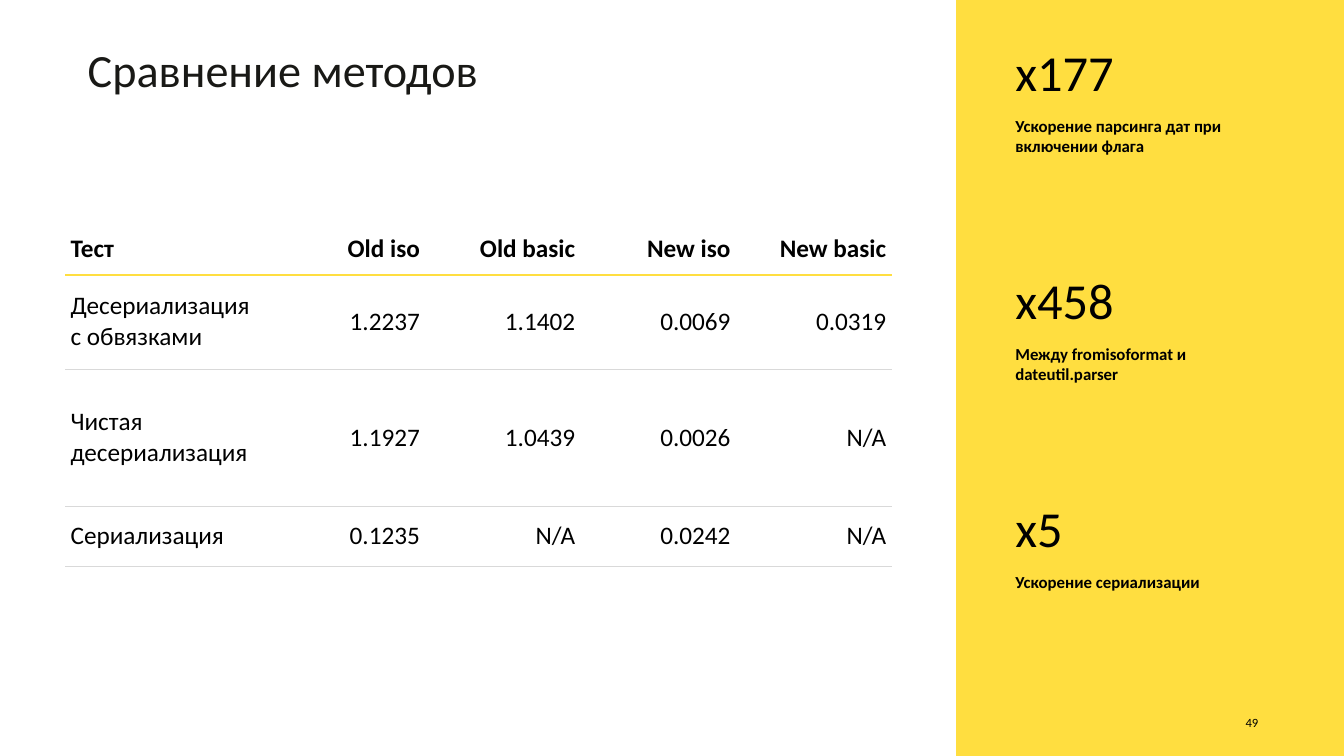
"""Builds the slide that compares serialization methods."""
from lxml import etree
from pptx import Presentation
from pptx.dml.color import RGBColor
from pptx.enum.shapes import MSO_SHAPE
from pptx.enum.text import MSO_ANCHOR, PP_ALIGN
from pptx.oxml.ns import qn
from pptx.util import Inches, Pt

LEFT, RIGHT = PP_ALIGN.LEFT, PP_ALIGN.RIGHT
TOP, MIDDLE, BOTTOM = MSO_ANCHOR.TOP, MSO_ANCHOR.MIDDLE, MSO_ANCHOR.BOTTOM
RECTANGLE = MSO_SHAPE.RECTANGLE

FONT = "Calibri"
COLORS = {"accent": "FFDE40", "panel": "FFFFFF", "title": "191916",
          "text": "000000", "rule": "D9D9D9"}

TITLE = "Сравнение методов"
PAGE_NUMBER = "49"
RESULTS = [
    ["Тест", "Old iso", "Old basic", "New iso", "New basic"],
    ["Десериализация\nс обвязками", "1.2237", "1.1402", "0.0069", "0.0319"],
    ["Чистая десериализация", "1.1927", "1.0439", "0.0026", "N/A"],
    ["Сериализация", "0.1235", "N/A", "0.0242", "N/A"],
]
COLUMN_WIDTHS = [4.93, 2.2, 3.08, 3.08, 3.09]
ROW_HEIGHTS = [1.64, 1.87, 2.73, 1.18]
SPEEDUPS = [
    ("x177", "Ускорение парсинга дат при включении флага", 2.12),
    ("x458", "Между fromisoformat и dateutil.parser", 0.81),
    ("x5", "Ускорение сериализации", 1.55),
]
SPEEDUP_LEFT, SPEEDUP_TOP, SPEEDUP_STEP, CAPTION_OFFSET = 20.14, 0.81, 4.525, 1.48


def rgb(name):
    return RGBColor.from_string(COLORS[name])


def write(frame, text, size=36, color="text", bold=False, align=LEFT, after=0):
    frame.word_wrap = True
    frame.text = text
    for paragraph in frame.paragraphs:
        paragraph.alignment = align
        paragraph.space_after = Pt(after)
        font = paragraph.font
        font.name, font.size, font.bold = FONT, Pt(size), bold
        font.color.rgb = rgb(color)


def add_text(slide, box, text, anchor=TOP, **style):
    frame = slide.shapes.add_textbox(*map(Inches, box)).text_frame
    frame.margin_left = frame.margin_right = frame.margin_top = frame.margin_bottom = 0
    frame.vertical_anchor = anchor
    write(frame, text, **style)


def add_border(cell, side, color, width):
    line = etree.SubElement(cell._tc.get_or_add_tcPr(), qn(f"a:ln{side}"), w=str(Pt(width)))
    fill = etree.SubElement(line, qn("a:solidFill"))
    etree.SubElement(fill, qn("a:srgbClr"), val=COLORS[color])


def add_results(slide):
    table = slide.shapes.add_table(
        len(RESULTS), len(COLUMN_WIDTHS), Inches(1.3), Inches(3.81),
        Inches(sum(COLUMN_WIDTHS)), Inches(sum(ROW_HEIGHTS))).table
    table.first_row = table.horz_banding = False
    for column, width in zip(table.columns, COLUMN_WIDTHS):
        column.width = Inches(width)
    for row, height in zip(table.rows, ROW_HEIGHTS):
        row.height = Inches(height)

    rules = [("panel", 0.96), ("accent", 3)] + [("rule", 0.75)] * (len(RESULTS) - 1)
    for r, values in enumerate(RESULTS):
        header = r == 0
        for c, value in enumerate(values):
            cell = table.cell(r, c)
            write(cell.text_frame, value, bold=header, align=RIGHT if c else LEFT)
            cell.vertical_anchor = BOTTOM if header else MIDDLE
            if header:
                cell.margin_top, cell.margin_bottom = 0, Inches(0.2)
            borders = {"L": rules[0], "R": rules[0], "T": rules[r], "B": rules[r + 1]}
            for side, (color, width) in borders.items():
                add_border(cell, side, color, width)
            cell.fill.background()


def main():
    deck = Presentation()
    deck.slide_width, deck.slide_height = Inches(26.66), Inches(15)
    slide = deck.slides.add_slide(deck.slide_layouts[6])
    slide.background.fill.solid()
    slide.background.fill.fore_color.rgb = rgb("accent")

    panel = slide.shapes.add_shape(RECTANGLE, 0, 0, Inches(18.96), Inches(15))
    panel.shadow.inherit = False
    panel.fill.solid()
    panel.fill.fore_color.rgb = rgb("panel")
    panel.line.fill.background()

    add_text(slide, (24.44, 14.19, 0.52, 0.27), PAGE_NUMBER, anchor=MIDDLE, size=18, align=RIGHT)
    add_text(slide, (1.74, 0.81, 16.04, 1.11), TITLE, size=66, color="title")
    for i, (factor, caption, caption_height) in enumerate(SPEEDUPS):
        top = SPEEDUP_TOP + i * SPEEDUP_STEP
        add_text(slide, (SPEEDUP_LEFT, top, 3.19, 1.23), factor, size=72, after=6)
        add_text(slide, (SPEEDUP_LEFT, top + CAPTION_OFFSET, 4.41, caption_height), caption,
                 size=24, bold=True, after=18)
    add_results(slide)
    deck.save("out.pptx")


if __name__ == "__main__":
    main()
